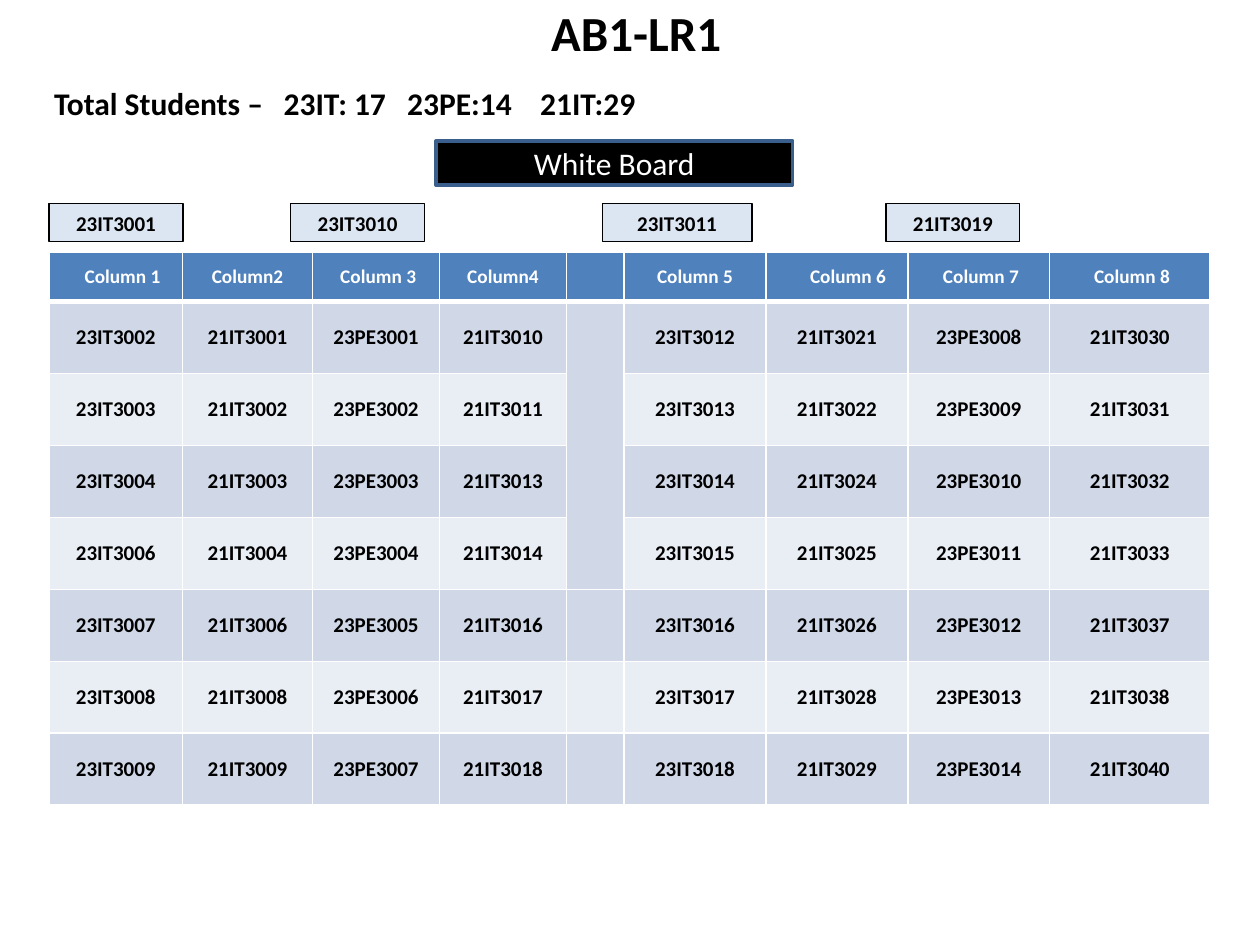
"""Build the AB1-LR1 exam seating plan slide."""
from lxml import etree
from pptx import Presentation
from pptx import util as u
from pptx.dml import color
from pptx.enum import shapes, text
from pptx.oxml import ns

SEAT_COLUMNS = [
    ("Column 1", 3, "23IT", (3002, 3003, 3004, 3006, 3007, 3008, 3009)),
    ("Column2", 0, "21IT", (3001, 3002, 3003, 3004, 3006, 3008, 3009)),
    ("Column 3", 1, "23PE", range(3001, 3008)),
    ("Column4", 0, "21IT", (3010, 3011, 3013, 3014, 3016, 3017, 3018)),
    ("", 0, "", ()),
    ("Column 5", 0, "23IT", range(3012, 3019)),
    ("Column 6", 5, "21IT", (3021, 3024 - 2, 3024, 3025, 3026, 3028, 3029)),
    ("Column 7", 1, "23PE", range(3008, 3015)),
    ("Column 8", 1, "21IT", (3030, 3031, 3032, 3033, 3037, 3038, 3040)),
]
COLUMN_WIDTHS = [2.69, 2.62, 2.56, 2.56, 1.16, 2.86, 2.86, 2.86, 3.23]
HEADER_HEIGHT, SEAT_HEIGHT = 1, 1.45
AISLE, AISLE_SPAN = 4, 4
FRONT_SEATS = [("23IT3001", 0.99, 2.7), ("23IT3010", 5.86, 2.7),
               ("23IT3011", 12.14, 3.02), ("21IT3019", 17.86, 2.7)]


def rgb(value):
    return color.RGBColor.from_string(value)


def write(frame, words, size=12, ink="000000", bold=True, centred=True, font="Calibri"):
    paragraph = frame.paragraphs[0]
    paragraph.alignment = text.PP_ALIGN.CENTER if centred else text.PP_ALIGN.LEFT
    run = paragraph.add_run()
    run.text = words
    run.font.name, run.font.size, run.font.bold = font, u.Pt(size), bold
    run.font.color.rgb = rgb(ink)
    return paragraph


class SeatingSlide:
    """Hold the seating plan's style and its current slide."""

    header, bands, rule = "4F81BD", ("D0D8E8", "E9EDF4"), "FFFFFF"

    def __init__(self, deck):
        self.slide = deck.slides.add_slide(deck.slide_layouts[5])

    def title(self, words, left, top, width, height):
        title = self.slide.shapes.title
        title.left, title.top, title.width, title.height = map(u.Cm, (left, top, width, height))
        title.text_frame.vertical_anchor = text.MSO_ANCHOR.TOP
        write(title.text_frame, words, size=28)

    def totals(self, parts, stops, left, top, width, height):
        totals = self.slide.shapes.add_textbox(*map(u.Cm, (left, top, width, height)))
        totals.text_frame.word_wrap = True
        line = write(totals.text_frame, "\t".join(parts), size=18, centred=False)
        tabs = etree.SubElement(line._p.get_or_add_pPr(), ns.qn("a:tabLst"))
        for stop in stops:
            etree.SubElement(tabs, ns.qn("a:tab"), pos=str(u.Cm(stop)), algn="l")

    def box(self, words, left, top, width, height, fill, line, weight, **style):
        box = self.slide.shapes.add_shape(
            shapes.MSO_SHAPE.RECTANGLE, *map(u.Cm, (left, top, width, height)))
        box.shadow.inherit = False
        box.fill.solid()
        box.fill.fore_color.rgb = rgb(fill)
        box.line.color.rgb, box.line.width = rgb(line), u.Pt(weight)
        box.text_frame.vertical_anchor = text.MSO_ANCHOR.MIDDLE
        write(box.text_frame, words, **style)

    def borders(self, cell, bottom):
        properties = cell._tc.get_or_add_tcPr()
        for place, side in enumerate("LRTB"):
            weight = bottom if side == "B" else 1
            edge = etree.Element(ns.qn(f"a:ln{side}"), w=str(u.Pt(weight)))
            fill = etree.SubElement(edge, ns.qn("a:solidFill"))
            etree.SubElement(fill, ns.qn("a:srgbClr"), val=self.rule)
            properties.insert(place, edge)

    def cell(self, cell, words, fill, side=0.08, indent=0, edge=0, bottom=1, **style):
        cell.vertical_anchor = text.MSO_ANCHOR.MIDDLE
        cell.margin_left, cell.margin_right = u.Cm(side + indent), u.Cm(side)
        cell.margin_top = cell.margin_bottom = u.Cm(edge)
        cell.fill.solid()
        cell.fill.fore_color.rgb = rgb(fill)
        self.borders(cell, bottom)
        if words:
            write(cell.text_frame, words, **style)

    def seats(self, columns, widths, left, top):
        count = max(len(numbers) for *_, numbers in columns)
        heights = [HEADER_HEIGHT] + [SEAT_HEIGHT] * count
        seats = self.slide.shapes.add_table(
            count + 1, len(columns),
            *map(u.Cm, (left, top, sum(widths), sum(heights)))).table
        for row, height in zip(seats.rows, heights):
            row.height = u.Cm(height)
        for index, (heading, shift, group, numbers) in enumerate(columns):
            seats.columns[index].width = u.Cm(widths[index])
            self.cell(seats.cell(0, index), heading, self.header, side=0.25,
                      indent=shift * 0.09, bottom=3, size=11, ink="FFFFFF")
            for row in range(count):
                seat = f"{group}{numbers[row]}" if numbers else ""
                self.cell(seats.cell(row + 1, index), seat, self.bands[row % 2])
        seats.cell(1, AISLE).merge(seats.cell(AISLE_SPAN, AISLE))


def main():
    deck = Presentation()
    deck.slide_width, deck.slide_height = u.Cm(25.4), u.Cm(19.05)
    plan = SeatingSlide(deck)
    plan.seats(SEAT_COLUMNS, COLUMN_WIDTHS, 0.99, 5.08)
    plan.title("AB1-LR1", 0.25, -0.08, 25.15, 1.45)
    plan.box("White Board", 8.79, 2.84, 7.19, 0.89, "000000", "3A5F8C", 2,
             size=18, ink="FFFFFF", bold=False)
    plan.totals(["Total Students –", "23IT: 17", "23PE:14", "21IT:29"],
                [4.63, 7.12, 9.8], 0.84, 1.57, 12.7, 1.02)
    for seat, left, width in FRONT_SEATS:
        plan.box(seat, left, 4.11, width, 0.76, "DCE6F2", "000000", 0.75)
    deck.save("out.pptx")


if __name__ == "__main__":
    main()
